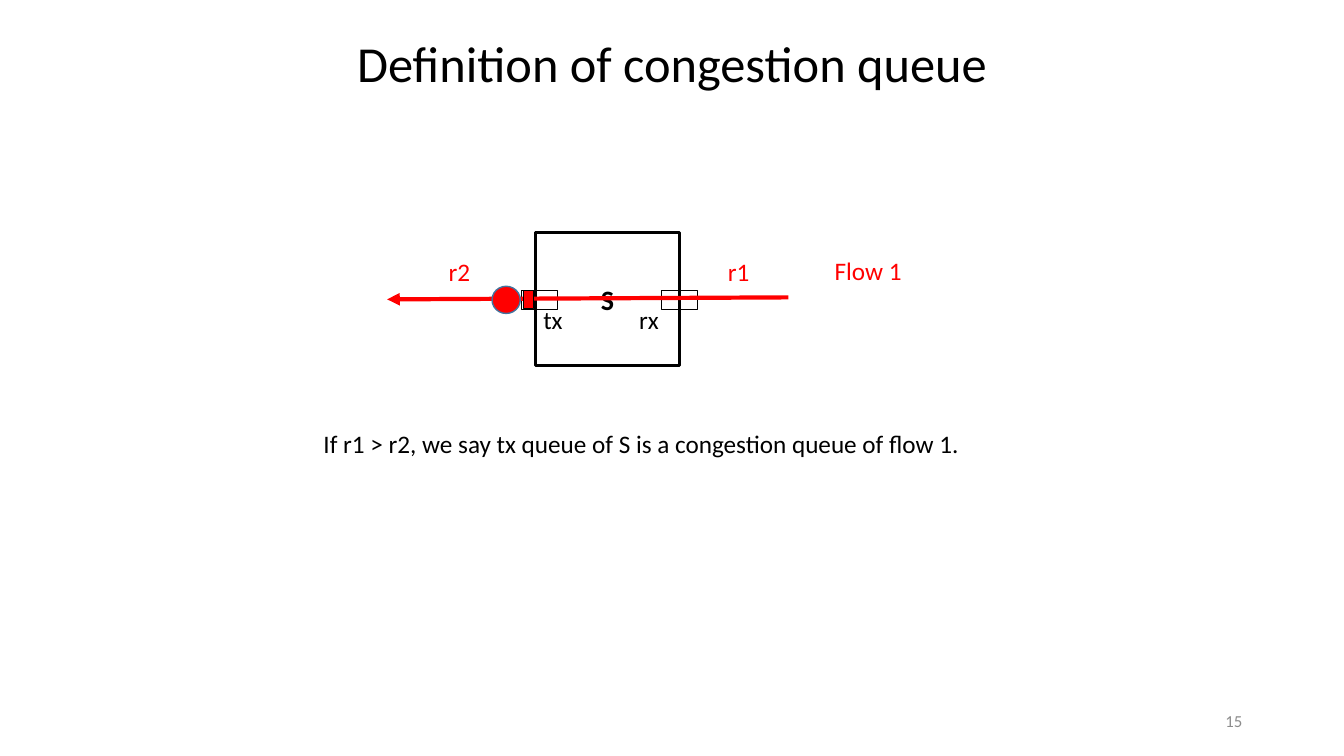
from dataclasses import dataclass

from lxml.etree import SubElement
from pptx import Presentation
from pptx.dml.color import RGBColor
from pptx.enum.shapes import MSO_CONNECTOR, MSO_SHAPE
from pptx.enum.text import MSO_ANCHOR, MSO_AUTO_SIZE, PP_ALIGN
from pptx.oxml.ns import qn
from pptx.util import Inches, Pt


@dataclass(frozen=True)
class Theme:
    font: str = "Calibri"
    black: str = "000000"
    red: str = "FF0000"
    blue: str = "43739E"
    gray: str = "8C8C8C"
    title_size: int = 36
    node_size: int = 20
    body_size: int = 18
    number_size: int = 12
    thin: float = 1
    medium: float = 2.25
    thick: float = 3


class SlideBuilder:
    def __init__(self, slide, theme):
        self.slide = slide
        self.theme = theme

    def set_text(self, shape, text, size, color, align=PP_ALIGN.LEFT,
                 anchor=MSO_ANCHOR.TOP, wrap=True, bold=False):
        frame = shape.text_frame
        frame.text = text
        frame.word_wrap = wrap
        frame.auto_size = MSO_AUTO_SIZE.NONE
        frame.vertical_anchor = anchor
        para = frame.paragraphs[0]
        para.alignment = align
        font = para.runs[0].font
        font.name = self.theme.font
        font.size = Pt(size)
        font.bold = bold
        font.color.rgb = RGBColor.from_string(color)

    def title(self, text, left, top, width, height):
        title = self.slide.shapes.title
        title.left, title.top = Inches(left), Inches(top)
        title.width, title.height = Inches(width), Inches(height)
        self.set_text(title, text, self.theme.title_size, self.theme.black, PP_ALIGN.CENTER)

    def text(self, text, left, top, width, height, size, color, **style):
        box = self.slide.shapes.add_textbox(
            Inches(left), Inches(top), Inches(width), Inches(height))
        self.set_text(box, text, size, color, **style)

    def label(self, text, left, top, width, color, wrap=False):
        self.text(text, left, top, width, 0.4, self.theme.body_size, color, wrap=wrap)

    def shape(self, kind, left, top, width, height, line, weight, fill=None):
        shape = self.slide.shapes.add_shape(
            kind, Inches(left), Inches(top), Inches(width), Inches(height))
        shape.shadow.inherit = False
        if fill:
            shape.fill.solid()
            shape.fill.fore_color.rgb = RGBColor.from_string(fill)
        else:
            shape.fill.background()
        shape.line.color.rgb = RGBColor.from_string(line)
        shape.line.width = Pt(weight)
        return shape

    def arrow(self, start, end, color, weight):
        arrow = self.slide.shapes.add_connector(
            MSO_CONNECTOR.STRAIGHT, *map(Inches, start + end))
        arrow.line.color.rgb = RGBColor.from_string(color)
        arrow.line.width = Pt(weight)
        SubElement(arrow.get_or_add_ln(), qn("a:tailEnd"), type="triangle")
        SubElement(arrow.element.spPr, qn("a:effectLst"))


theme = Theme()
deck = Presentation()
deck.slide_width, deck.slide_height = Inches(13.33), Inches(7.5)
page = SlideBuilder(deck.slides.add_slide(deck.slide_layouts[5]), theme)

page.title("Definition of congestion queue", 1.72, 0.27, 9.89, 0.71)
page.text("15", 9.42, 6.95, 3, 0.4, theme.number_size, theme.gray,
          align=PP_ALIGN.RIGHT, anchor=MSO_ANCHOR.MIDDLE)

switch = page.shape(MSO_SHAPE.RECTANGLE, 5.31, 2.31, 1.43, 1.32, theme.black, theme.medium)
page.set_text(switch, "S", theme.node_size, theme.black, PP_ALIGN.CENTER,
              MSO_ANCHOR.MIDDLE, bold=True)

for name, queue_left, name_left in (("rx", 6.56, 6.24), ("tx", 5.17, 5.29)):
    page.shape(MSO_SHAPE.RECTANGLE, queue_left, 2.88, 0.36, 0.19, theme.black, theme.thin)
    page.label(name, name_left, 2.97, 0.4, theme.black, wrap=True)

page.arrow((7.82, 2.95), (3.84, 2.97), theme.red, theme.thick)
page.shape(MSO_SHAPE.OVAL, 4.88, 2.84, 0.28, 0.27, theme.blue, theme.thin, theme.red)

page.label("Flow 1", 8.18, 2.48, 0.87, theme.red)
for rate, left in (("r1", 7.12), ("r2", 4.35)):
    page.label(rate, left, 2.49, 0.42, theme.red)
page.label("If r1 > r2, we say tx queue of S is a congestion queue of flow 1. ",
           3.11, 4.2, 6.65, theme.black)
page.shape(MSO_SHAPE.RECTANGLE, 5.19, 2.88, 0.1, 0.18, theme.black, theme.thin, theme.red)

deck.save("out.pptx")
